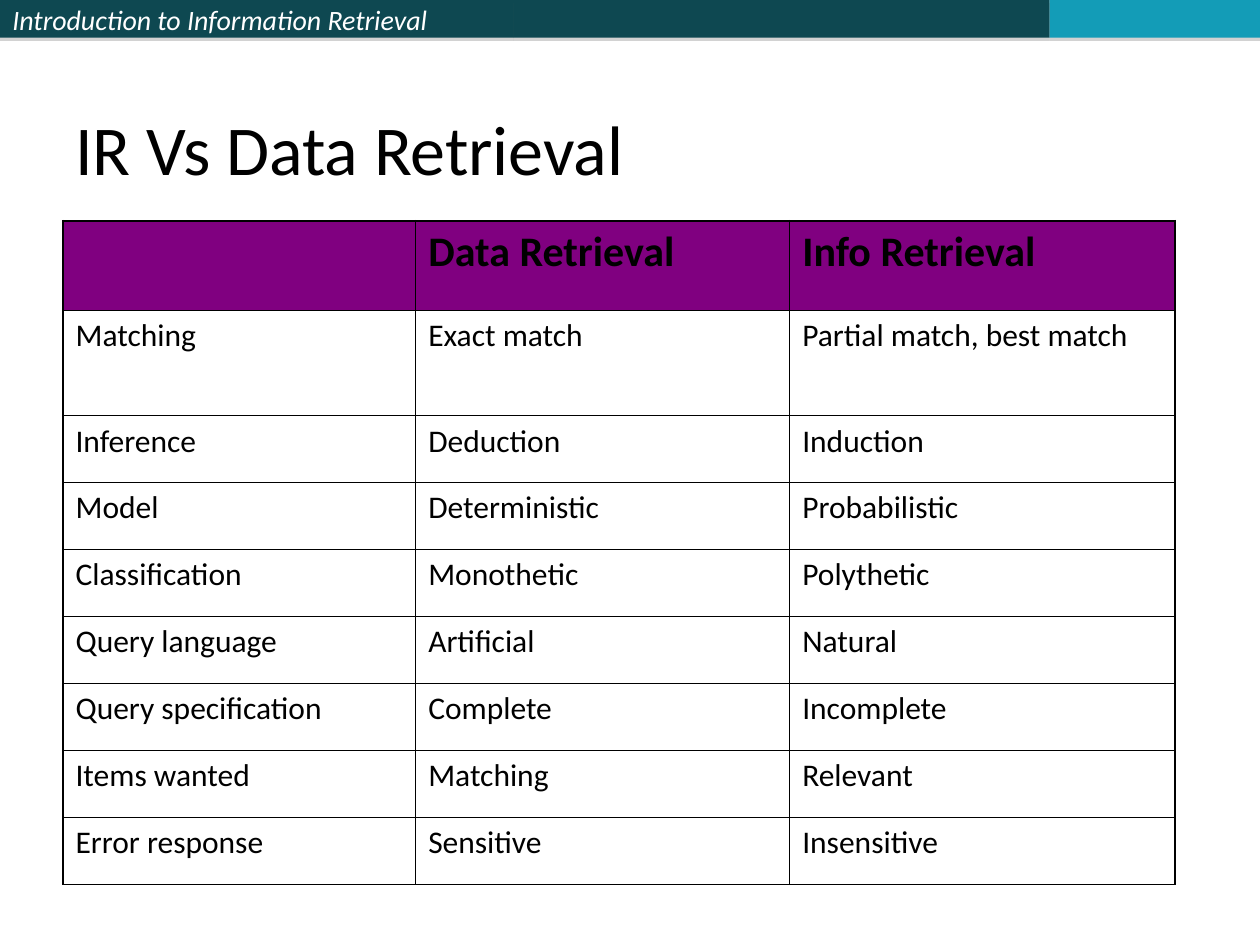
from lxml import etree
from pptx import Presentation
from pptx import util as u
from pptx.dml import color
from pptx.enum import shapes, text
from pptx.oxml import ns

# Content
COURSE = "Introduction to Information Retrieval"
TITLE = "IR Vs Data Retrieval"
ROWS = [
    ("", "Data Retrieval", "Info Retrieval"),
    ("Matching", "Exact match", "Partial match, best match"),
    ("Inference", "Deduction", "Induction"),
    ("Model", "Deterministic", "Probabilistic"),
    ("Classification", "Monothetic", "Polythetic"),
    ("Query language", "Artificial", "Natural"),
    ("Query specification", "Complete", "Incomplete"),
    ("Items wanted", "Matching", "Relevant"),
    ("Error response", "Sensitive", "Insensitive"),
]

# Style and measures (cm, points)
FONT = "Calibri"
BLACK, WHITE, PURPLE = "000000", "FFFFFF", "800080"
BANNER = [(10.36, "0E4851", COURSE), (10.8, "0E4851", ""), (4.24, "139CB7", "")]
BANNER_HEIGHT = 0.76
COLUMN_WIDTHS = [7.11, 7.54, 7.77]
ROW_HEIGHTS = [1.8, 2.13] + [1.35] * (len(ROWS) - 2)
OUTER_LINE, INNER_LINE = 1.08, 0.45


def rgb(value):
    return color.RGBColor.from_string(value)


def add_text(frame, content, size, text_color, bold=False, italic=False, before=0):
    paragraph = frame.paragraphs[0]
    paragraph.alignment = text.PP_ALIGN.LEFT
    paragraph.space_before = u.Pt(before)
    run = paragraph.add_run()
    run.text = content
    font = run.font
    font.name, font.size, font.bold, font.italic = FONT, u.Pt(size), bold, italic
    font.color.rgb = rgb(text_color)


def add_shadow(shape):
    shape.shadow.inherit = False
    effects = shape.element.spPr.find(ns.qn("a:effectLst"))
    shadow = etree.SubElement(effects, ns.qn("a:outerShdw"), dist=str(u.Pt(1.8)),
                              dir="5400000", algn="ctr", rotWithShape="0")
    shade = etree.SubElement(shadow, ns.qn("a:srgbClr"), val="808080")
    etree.SubElement(shade, ns.qn("a:alpha"), val="35000")


def add_border(cell, side, width):
    line = etree.SubElement(cell._tc.get_or_add_tcPr(), ns.qn("a:ln" + side),
                            w=str(u.Pt(width)))
    fill = etree.SubElement(line, ns.qn("a:solidFill"))
    etree.SubElement(fill, ns.qn("a:srgbClr"), val=BLACK)


presentation = Presentation()
presentation.slide_width, presentation.slide_height = u.Cm(25.4), u.Cm(19.05)
slide = presentation.slides.add_slide(presentation.slide_layouts[6])

# Banner across the top
left = 0
for width, fill_color, label in BANNER:
    shape = slide.shapes.add_shape(shapes.MSO_SHAPE.RECTANGLE, u.Cm(left), 0,
                                   u.Cm(width), u.Cm(BANNER_HEIGHT))
    shape.fill.solid()
    shape.fill.fore_color.rgb = rgb(fill_color)
    shape.line.fill.background()
    add_shadow(shape)
    if label:
        shape.text_frame.vertical_anchor = text.MSO_ANCHOR.MIDDLE
        add_text(shape.text_frame, label, 16, WHITE, italic=True)
    left += width

# Title
title = slide.shapes.add_textbox(u.Cm(1.27), u.Cm(0.76), u.Cm(22.86), u.Cm(3.18))
title.text_frame.word_wrap = True
title.text_frame.vertical_anchor = text.MSO_ANCHOR.BOTTOM
add_text(title.text_frame, TITLE, 40, BLACK)

# Comparison table
table = slide.shapes.add_table(
    len(ROWS), len(COLUMN_WIDTHS), u.Cm(1.27), u.Cm(4.45),
    u.Cm(sum(COLUMN_WIDTHS)), u.Cm(sum(ROW_HEIGHTS))).table
table.first_row = table.horz_banding = False
for column, width in zip(table.columns, COLUMN_WIDTHS):
    column.width = u.Cm(width)
for row, height in zip(table.rows, ROW_HEIGHTS):
    row.height = u.Cm(height)

last_row, last_column = len(ROWS) - 1, len(COLUMN_WIDTHS) - 1
for row_index, row in enumerate(ROWS):
    header = row_index == 0
    for column_index, content in enumerate(row):
        cell = table.cell(row_index, column_index)
        outer_sides = {"L": column_index == 0, "R": column_index == last_column,
                       "T": header, "B": row_index == last_row}
        for side, outer in outer_sides.items():
            add_border(cell, side, OUTER_LINE if outer else INNER_LINE)
        if header:
            cell.fill.solid()
            cell.fill.fore_color.rgb = rgb(PURPLE)
        else:
            cell.fill.background()
        if content:
            add_text(cell.text_frame, content, 24 if header else 18, BLACK,
                     bold=header, before=6 if header else 4.5)

presentation.save("out.pptx")
